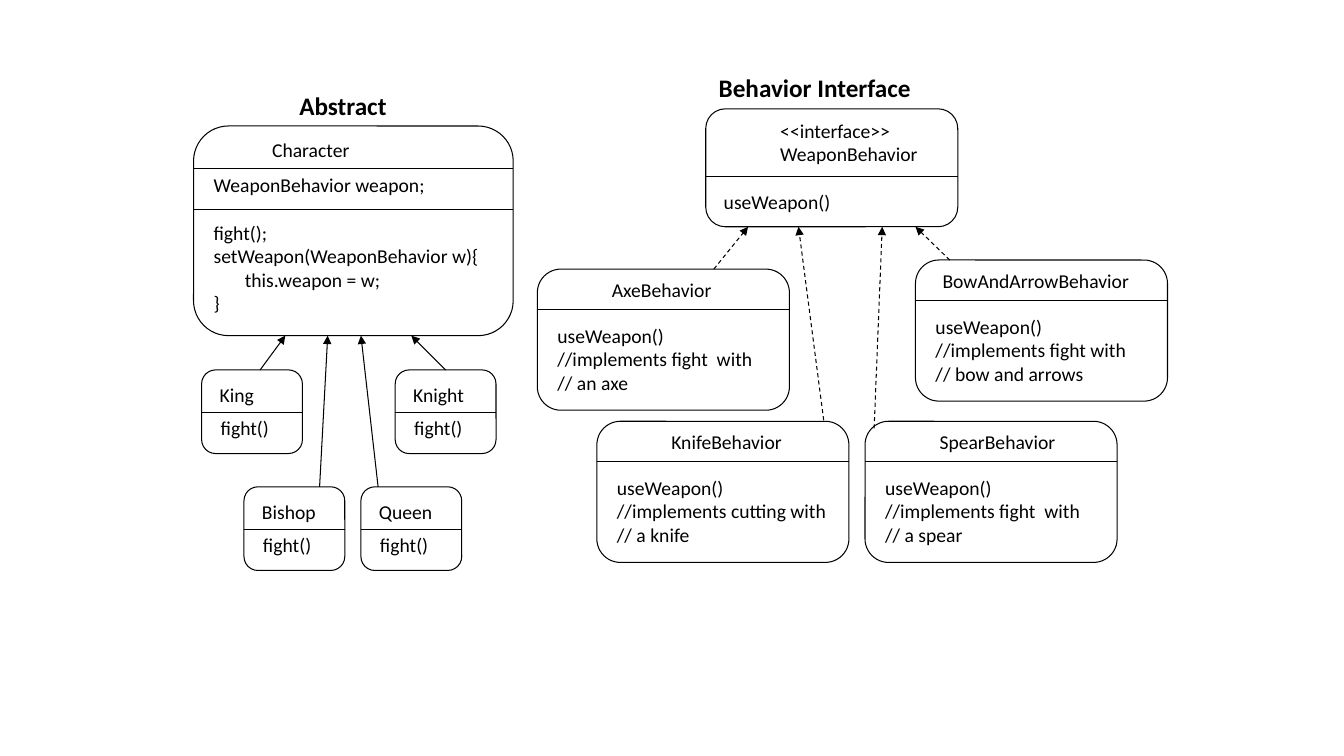
from dataclasses import dataclass

from lxml.etree import SubElement
from pptx import Presentation
from pptx.dml.color import RGBColor
from pptx.enum.dml import MSO_LINE
from pptx.enum.shapes import MSO_CONNECTOR, MSO_SHAPE
from pptx.enum.text import MSO_AUTO_SIZE
from pptx.oxml.ns import qn
from pptx.util import Inches, Pt


@dataclass(frozen=True)
class Theme:
    """Fonts, colours and sizes of the diagram."""
    font: str = "Calibri"
    ink: RGBColor = RGBColor(0, 0, 0)
    heading_size: int = 18
    code_size: int = 14
    line_width: float = 0.75
    line_pitch: float = 0.235


@dataclass(frozen=True)
class CardLayout:
    """Inner measures of one kind of class card, in inches."""
    width: float
    height: float
    title_left: float
    title_top: float
    dividers: tuple
    body_left: float
    body_top: float
    body_width: float


BEHAVIOR = CardLayout(2.5, 1.4, 0.64, 0.04, (0.4,), 0.1, 0.49, 2.33)
WIDE_BEHAVIOR = CardLayout(2.5, 1.4, 0.17, 0.04, (0.4,), 0.1, 0.49, 2.33)
INTERFACE = CardLayout(2.5, 1.17, 0.64, 0.05, (0.67,), 0.08, 0.75, 2.33)
PIECE = CardLayout(1, 0.83, 0.08, 0.08, (0.42,), 0.09, 0.41, 0.82)
ABSTRACT = CardLayout(3.17, 2.08, 0.68, 0.07, (0.42, 0.83), 0.1, 0.42, 3.15)


class ClassDiagram:
    """Draws class diagram elements on a slide in one style."""

    def __init__(self, slide, theme):
        self.slide = slide
        self.theme = theme

    def stroke(self, line):
        """Apply the common outline."""
        line.color.rgb = self.theme.ink
        line.width = Pt(self.theme.line_width)

    def text(self, shapes, left, top, width, lines, wrap=True, heading=False):
        """Add a text box with one paragraph per line."""
        theme = self.theme
        height = 0.4 if heading else 0.1 + theme.line_pitch * len(lines)
        label = shapes.add_textbox(Inches(left), Inches(top), Inches(width), Inches(height))
        frame = label.text_frame
        frame.text = "\n".join(lines)
        frame.word_wrap = wrap
        frame.auto_size = MSO_AUTO_SIZE.SHAPE_TO_FIT_TEXT
        for paragraph in frame.paragraphs:
            for run in paragraph.runs:
                run.font.name = theme.font
                run.font.size = Pt(theme.heading_size if heading else theme.code_size)
                run.font.bold = heading
                run.font.color.rgb = theme.ink
        return label

    def heading(self, left, top, width, wording):
        """Add a bold heading above a card."""
        self.text(self.slide.shapes, left, top, width, [wording], wrap=False, heading=True)

    def line(self, shapes, start, end):
        """Add a plain straight line."""
        connector = shapes.add_connector(
            MSO_CONNECTOR.STRAIGHT, *(Inches(length) for length in (*start, *end)))
        self.stroke(connector.line)
        SubElement(connector._element.spPr, qn("a:effectLst"))
        return connector

    def arrow(self, start, end, dashed=False):
        """Add an arrow from a subclass to its parent."""
        relation = self.line(self.slide.shapes, start, end)
        if dashed:
            relation.line.dash_style = MSO_LINE.DASH
        SubElement(relation.line._get_or_add_ln(), qn("a:tailEnd"), type="triangle")

    def card(self, layout, left, top, title, title_width, body):
        """Add a grouped class card and return its body text box."""
        shapes = self.slide.shapes.add_group_shape().shapes
        outline = shapes.add_shape(
            MSO_SHAPE.ROUNDED_RECTANGLE, Inches(left), Inches(top),
            Inches(layout.width), Inches(layout.height))
        outline.shadow.inherit = False
        outline.fill.background()
        self.stroke(outline.line)
        self.text(shapes, left + layout.title_left, top + layout.title_top,
                  title_width, title, wrap=False)
        for offset in layout.dividers:
            self.line(shapes, (left, top + offset), (left + layout.width, top + offset))
        return self.text(shapes, left + layout.body_left, top + layout.body_top,
                         layout.body_width, body)


def main():
    """Build the strategy pattern slide."""
    presentation = Presentation()
    presentation.slide_width = Inches(13.33)
    presentation.slide_height = Inches(7.5)
    theme = Theme()
    diagram = ClassDiagram(
        presentation.slides.add_slide(presentation.slide_layouts[6]), theme)

    behaviors = [
        (BEHAVIOR, 5.92, 4.18, "KnifeBehavior", 1.31, "//implements cutting with", "// a knife"),
        (WIDE_BEHAVIOR, 9.08, 2.58, "BowAndArrowBehavior", 2.07,
         "//implements fight with", "// bow and arrows"),
        (BEHAVIOR, 5.33, 2.67, "AxeBehavior", 1.2, "//implements fight  with", "// an axe"),
        (BEHAVIOR, 8.58, 4.18, "SpearBehavior", 1.36, "//implements fight  with", "// a spear"),
    ]
    for layout, left, top, name, name_width, *remarks in behaviors:
        diagram.card(layout, left, top, [name], name_width, ["useWeapon()", *remarks])

    diagram.card(INTERFACE, 7, 1.08, ["<<interface>>", "WeaponBehavior"], 1.58, ["useWeapon()"])

    pieces = [
        ("Queen", 3.58, 4.83, 0.74),
        ("King", 2, 3.67, 0.55),
        ("Knight", 3.92, 3.67, 0.71),
        ("Bishop", 2.42, 4.83, 0.74),
    ]
    for name, left, top, name_width in pieces:
        diagram.card(PIECE, left, top, [name], name_width, ["fight()"])

    diagram.heading(2.87, 0.85, 1.07, "Abstract")
    diagram.heading(7.03, 0.67, 2.12, "Behavior Interface")

    implementations = [
        ((7.08, 2.67), (7.42, 2.25)),
        ((9.42, 2.58), (9.08, 2.25)),
        ((8.17, 4.17), (7.92, 2.25)),
        ((8.67, 4.25), (8.75, 2.25)),
    ]
    for start, end in implementations:
        diagram.arrow(start, end, dashed=True)

    inheritances = [
        ((2.58, 3.67), (2.83, 3.33)),
        ((4.42, 3.67), (4.08, 3.33)),
        ((3.17, 4.83), (3.25, 3.33)),
        ((3.75, 4.83), (3.58, 3.33)),
    ]
    for start, end in inheritances:
        diagram.arrow(start, end)

    members = diagram.card(
        ABSTRACT, 1.92, 1.25, ["Character"], 0.98,
        ["WeaponBehavior weapon;", "fight();", "setWeapon(WeaponBehavior w){",
         "this.weapon = w;", "}"])
    members.height = Inches(1.51)
    field, fight, setter, assignment, closing = members.text_frame.paragraphs
    fight.space_before = Inches(theme.line_pitch)
    assignment._p.get_or_add_pPr().set("marL", str(Inches(0.31)))

    presentation.save("out.pptx")


if __name__ == "__main__":
    main()
